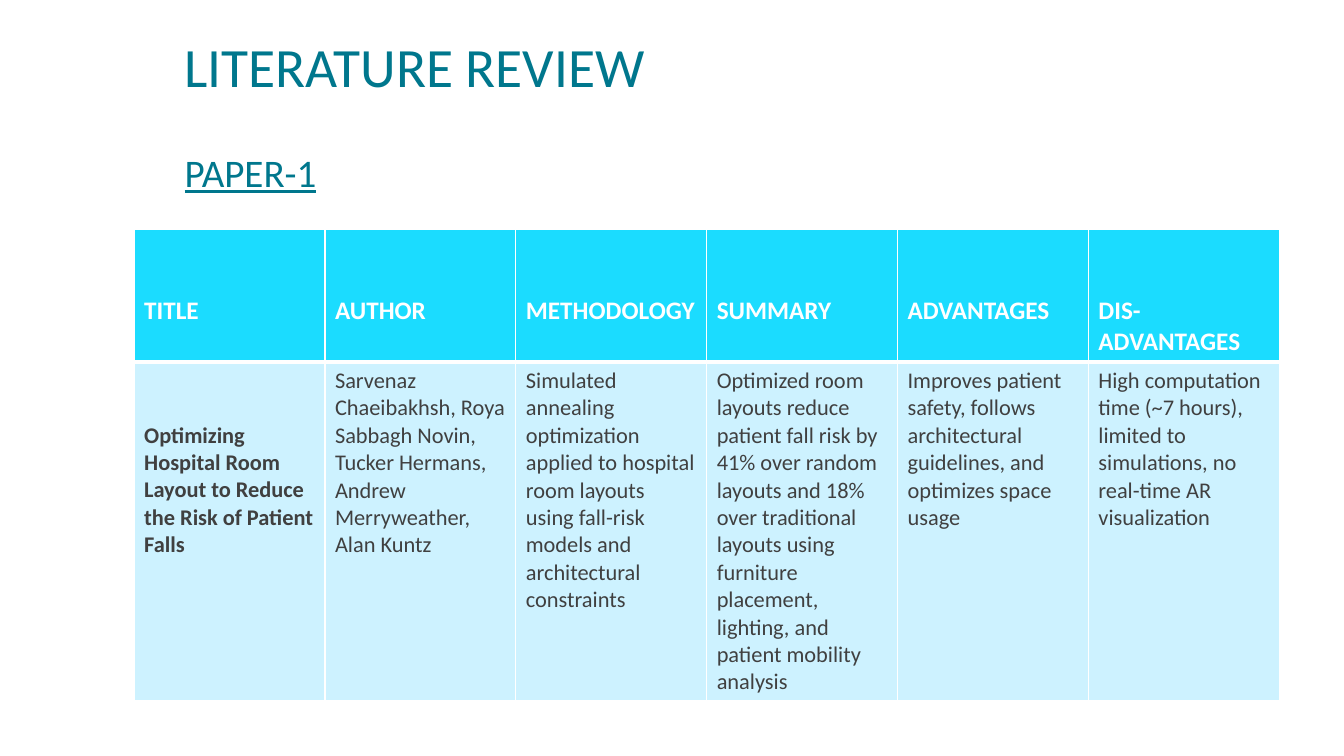
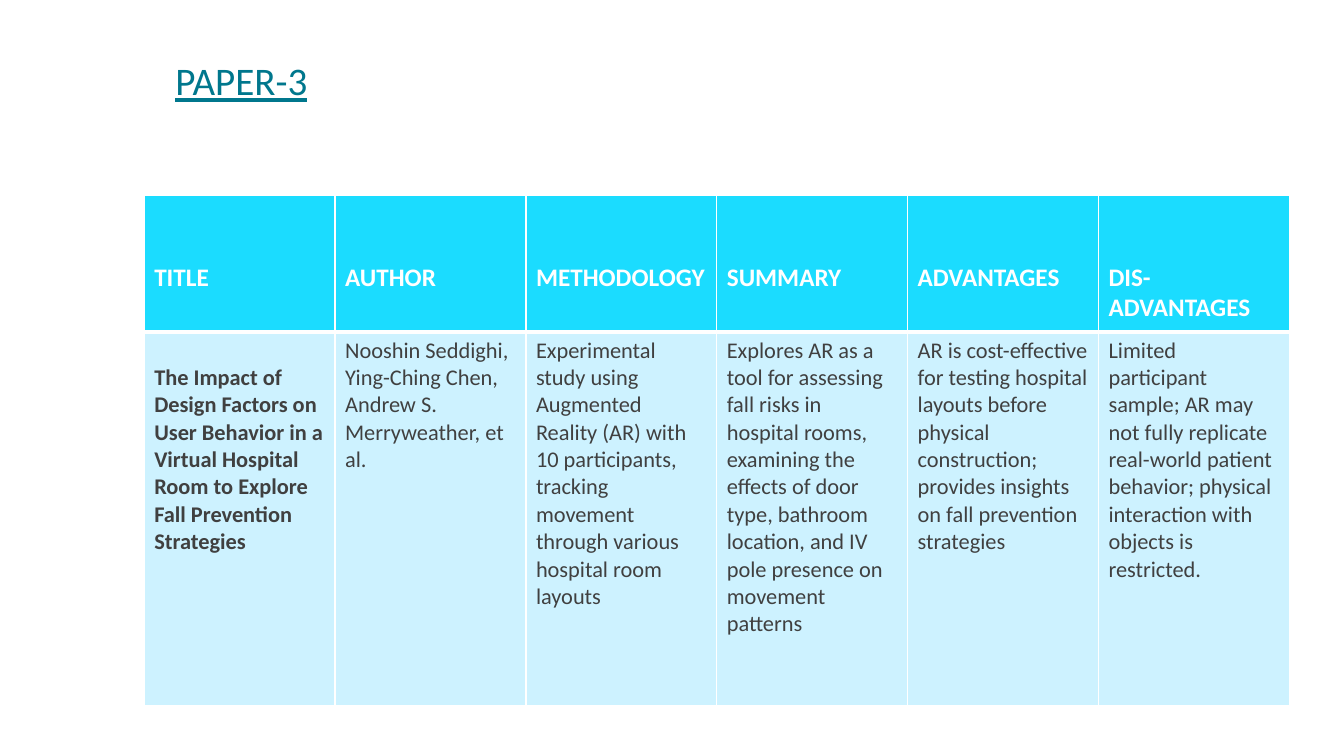
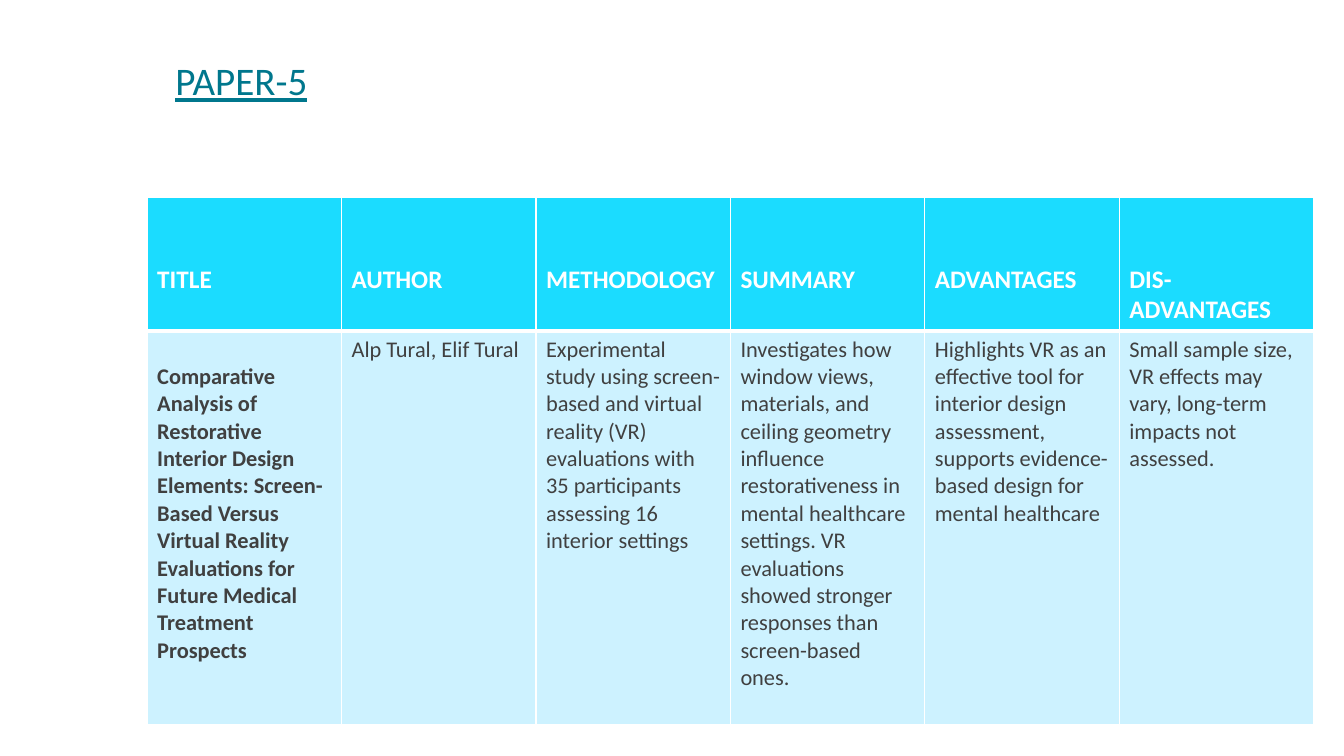
import pptx
import pptx.util
import pptx.dml.color
import pptx.enum.text
import pptx.oxml.ns
import lxml.etree

W, H = 13.33, 7.5
FONT = "Calibri"
COLORS = {"title": "00778D", "header": "1BDCFF", "body": "CDF2FF",
          "text": "404040", "line": "FFFFFF"}
HEADINGS = ["TITLE", "AUTHOR", "METHODOLOGY", "SUMMARY", "ADVANTAGES", "DIS- ADVANTAGES"]
MARGIN = 0.05
LINE_RATIO = 1.22

PAPERS = [
    {
        "heading": "LITERATURE REVIEW",
        "name": "PAPER-1",
        "title_box": (12.98, 4.67, 79.8, 21.87),
        "table_box": (9.98, 30.3, 85.22),
        "rows": (17.6, 44.8),
        "title_drop": 2,
        "cells": [
            "Optimizing Hospital Room Layout to Reduce the Risk of Patient Falls",
            "Sarvenaz Chaeibakhsh, Roya Sabbagh Novin, Tucker Hermans, Andrew Merryweather, Alan Kuntz",
            "Simulated annealing optimization applied to hospital room layouts using fall-risk models and architectural constraints",
            "Optimized room layouts reduce patient fall risk by 41% over random layouts and 18% over traditional layouts using furniture placement, lighting, and patient mobility analysis",
            "Improves patient safety, follows architectural guidelines, and optimizes space usage",
            "High computation time (~7 hours), limited to simulations, no real-time AR visualization",
        ],
    },
    {
        "name": "PAPER-3",
        "title_box": (12.3, 1.87, 79.8, 12.53),
        "table_box": (10.73, 25.87, 85.22),
        "rows": (18, 49.47),
        "title_drop": 1,
        "cells": [
            "The Impact of Design Factors on User Behavior in a Virtual Hospital Room to Explore Fall Prevention Strategies",
            "Nooshin Seddighi, Ying-Ching Chen, Andrew S. Merryweather, et al.",
            "Experimental study using Augmented Reality (AR) with 10 participants, tracking movement through various hospital room layouts",
            "Explores AR as a tool for assessing fall risks in hospital rooms, examining the effects of door type, bathroom location, and IV pole presence on movement patterns",
            "AR is cost-effective for testing hospital layouts before physical construction; provides insights on fall prevention strategies",
            "Limited participant sample; AR may not fully replicate real-world patient behavior; physical interaction with objects is restricted.",
        ],
    },
    {
        "name": "PAPER-5",
        "title_box": (12.3, 1.87, 79.8, 12.53),
        "table_box": (10.95, 26.13, 86.8),
        "rows": (17.6, 52.13),
        "title_drop": 1,
        "cells": [
            "Comparative Analysis of Restorative Interior Design Elements: Screen-Based Versus Virtual Reality Evaluations for Future Medical Treatment Prospects",
            "Alp Tural, Elif Tural",
            "Experimental study using screen-based and virtual reality (VR) evaluations with 35 participants assessing 16 interior settings",
            "Investigates how window views, materials, and ceiling geometry influence restorativeness in mental healthcare settings. VR evaluations showed stronger responses than screen-based ones.",
            "Highlights VR as an effective tool for interior design assessment, supports evidence-based design for mental healthcare",
            "Small sample size, VR effects may vary, long-term impacts not assessed.",
        ],
    },
]


def across(percent):
    return pptx.util.Inches(W * percent / 100)


def down(percent):
    return pptx.util.Inches(H * percent / 100)


def rgb(name):
    return pptx.dml.color.RGBColor.from_string(COLORS[name])


def write(p, text, size, color, bold=False, underline=False, spacing=None, before=0):
    p.alignment = pptx.enum.text.PP_ALIGN.LEFT
    p.space_before = pptx.util.Pt(before)
    if spacing:
        p.line_spacing = spacing
    r = p.add_run()
    r.text = text
    r.font.name = FONT
    r.font.size = pptx.util.Pt(size)
    r.font.bold = bold
    r.font.underline = underline
    r.font.color.rgb = rgb(color)


def add_title(s, box, name, heading=None):
    sp = s.shapes.title
    x, y, w, h = box
    sp.left, sp.top, sp.width, sp.height = across(x), down(y), across(w), down(h)
    tf = sp.text_frame
    tf.word_wrap = True
    tf.auto_size = pptx.enum.text.MSO_AUTO_SIZE.NONE
    tf.vertical_anchor = pptx.enum.text.MSO_ANCHOR.BOTTOM
    p = tf.paragraphs[0]
    if heading:
        write(p, heading, 39.6, "title", spacing=0.85)
        p = tf.add_paragraph()
    write(p, name, 27.9, "title", underline=True, spacing=0.85, before=41 if heading else 0)


def set_borders(cell, bottom=1):
    tc_pr = cell._tc.get_or_add_tcPr()
    for side, width in (("L", 1), ("R", 1), ("T", 1), ("B", bottom)):
        ln = lxml.etree.SubElement(tc_pr, pptx.oxml.ns.qn(f"a:ln{side}"),
                                   w=str(pptx.util.Pt(width)))
        fill = lxml.etree.SubElement(ln, pptx.oxml.ns.qn("a:solidFill"))
        lxml.etree.SubElement(fill, pptx.oxml.ns.qn("a:srgbClr"), val=COLORS["line"])


def fill_cell(cell, text, size, color, fill, bold, drop=0, bottom=1):
    set_borders(cell, bottom)
    cell.fill.solid()
    cell.fill.fore_color.rgb = rgb(fill)
    cell.margin_top = pptx.util.Inches(MARGIN + drop * size * LINE_RATIO / 72)
    write(cell.text_frame.paragraphs[0], text, size, color, bold=bold)


def add_review_table(s, box, rows, cells, title_drop):
    x, y, w = box
    table = s.shapes.add_table(len(rows), len(HEADINGS), across(x), down(y),
                               across(w), down(sum(rows))).table
    table.horz_banding = False
    for row, height in zip(table.rows, rows):
        row.height = down(height)
    for i, (heading, text) in enumerate(zip(HEADINGS, cells)):
        table.columns[i].width = across(w / len(HEADINGS))
        fill_cell(table.cell(0, i), heading, 18, "line", "header", True, drop=2, bottom=3)
        is_title = i == 0
        fill_cell(table.cell(1, i), text, 16, "text", "body", is_title,
                  drop=title_drop if is_title else 0)


def main():
    prs = pptx.Presentation()
    prs.slide_width, prs.slide_height = across(100), down(100)
    for paper in PAPERS:
        s = prs.slides.add_slide(prs.slide_layouts[5])
        add_title(s, paper["title_box"], paper["name"], paper.get("heading"))
        add_review_table(s, paper["table_box"], paper["rows"], paper["cells"],
                         paper["title_drop"])
    prs.save("out.pptx")


if __name__ == "__main__":
    main()
